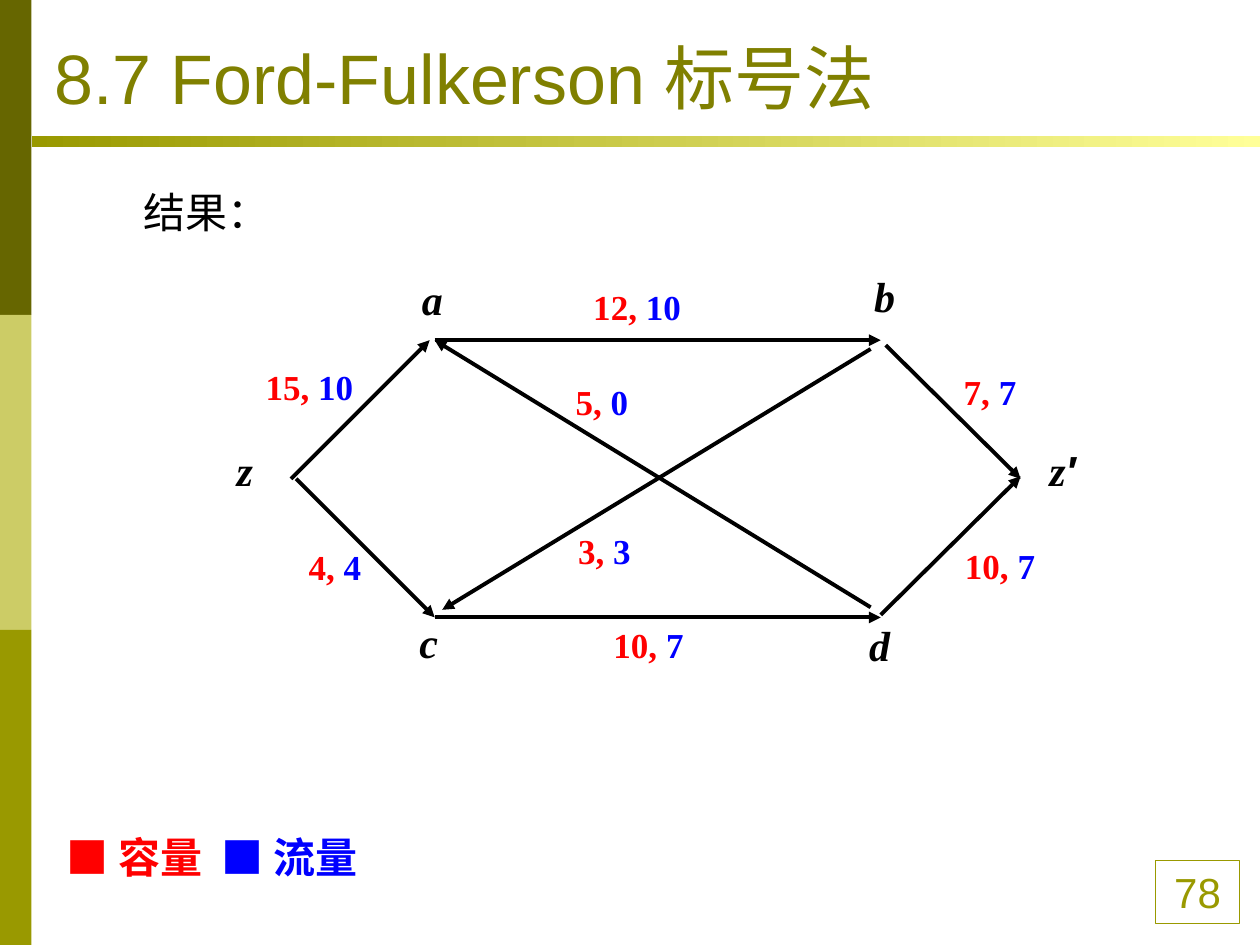
import pptx
import pptx.util
import pptx.dml.color
import pptx.enum.shapes
import pptx.enum.text
from dataclasses import dataclass
from lxml import etree
from pptx.oxml.ns import qn
from pptx.util import Inches


@dataclass(frozen=True)
class Theme:
    dark: str = "666600"
    light: str = "CCCC66"
    olive: str = "999900"
    pale: str = "FFFF99"
    heading: str = "808000"
    ink: str = "000000"
    capacity: str = "FF0000"
    flow: str = "0000FF"
    sans: str = "Arial"
    serif: str = "Times New Roman"
    title_size: int = 40
    text_size: int = 24
    label_size: int = 20
    arrow_width: float = 2.25


T = Theme()
RGB = pptx.dml.color.RGBColor.from_string


def write(p, runs, size, bold=False, italic=False):
    for text, color, face in runs:
        r = p.add_run()
        r.text = text
        r.font.name = face
        r.font.size = pptx.util.Pt(size)
        r.font.color.rgb = RGB(color)
        r.font.bold = bold
        r.font.italic = italic


def add_box(shapes, x, y, w, h):
    tf = shapes.add_textbox(Inches(x), Inches(y), Inches(w), Inches(h)).text_frame
    tf.word_wrap = True
    return tf.paragraphs[0]


prs = pptx.Presentation()
prs.slide_width, prs.slide_height = Inches(10), Inches(7.5)
s = prs.slides.add_slide(prs.slide_layouts[1])

bars = [
    (0, 0, 0.25, 2.5, T.dark),
    (0, 2.5, 0.25, 2.5, T.light),
    (0, 5, 0.25, 2.5, T.olive),
    (0.25, 1.08, 9.75, 0.09, None),
    (9.17, 6.83, 0.67, 0.5, None),
]
for x, y, w, h, color in bars:
    sp = s.shapes.add_shape(
        pptx.enum.shapes.MSO_SHAPE.RECTANGLE, Inches(x), Inches(y), Inches(w), Inches(h)
    )
    sp.shadow.inherit = False
    sp.line.fill.background()
    if color:
        sp.fill.solid()
        sp.fill.fore_color.rgb = RGB(color)
    else:
        sp.fill.background()

rule, number = list(s.shapes)[-2:]
rule.fill.gradient()
rule.fill.gradient_angle = 0
for stop, color in zip(rule.fill.gradient_stops, (T.olive, T.pale)):
    stop.color.rgb = RGB(color)

number.line.color.rgb = RGB(T.olive)
number.line.width = pptx.util.Pt(0.75)
p = number.text_frame.paragraphs[0]
p.alignment = pptx.enum.text.PP_ALIGN.CENTER
write(p, [("78", T.olive, T.sans)], T.text_size)

title, body = s.shapes.title, s.placeholders[1]
for sp, box in ((title, (0.33, 0.13, 9, 0.86)), (body, (0.37, 1.31, 4.07, 0.63))):
    sp.left, sp.top, sp.width, sp.height = [Inches(v) for v in box]
    sp.text_frame.auto_size = pptx.enum.text.MSO_AUTO_SIZE.NONE
    sp.text_frame.paragraphs[0].alignment = pptx.enum.text.PP_ALIGN.LEFT

title.text_frame.vertical_anchor = pptx.enum.text.MSO_ANCHOR.BOTTOM
write(title.text_frame.paragraphs[0],
      [("8.7 Ford-Fulkerson 标号法", T.heading, T.sans)], T.title_size)

p = body.text_frame.paragraphs[0]
pPr = p._p.get_or_add_pPr()
pPr.set("marL", str(Inches(0.67)))
pPr.set("indent", "0")
etree.SubElement(pPr, qn("a:buNone"))
p.space_before = pptx.util.Pt(0)
p.line_spacing = 1.3
write(p, [("结果：", T.ink, T.serif)], T.text_size)

p = add_box(s.shapes, 0.43, 6.43, 3.07, 0.63)
tabs = etree.SubElement(p._p.get_or_add_pPr(), qn("a:tabLst"))
etree.SubElement(tabs, qn("a:tab"), pos=str(Inches(1.23)), algn="l")
p.line_spacing = 1.3
write(p, [
    ("■", T.capacity, T.sans),
    (" 容量\t", T.capacity, T.serif),
    ("■", T.flow, T.sans),
    (" 流量", T.flow, T.serif),
], T.text_size, bold=True)

graph = s.shapes.add_group_shape().shapes

edges = [
    ((3.45, 2.7), (6.99, 2.7), 12, 10, (4.61, 2.22, 1.02)),
    ((3.45, 4.9), (6.99, 4.9), 10, 7, (4.77, 4.9, 0.88)),
    ((6.91, 2.77), (3.51, 4.84), 3, 3, (4.49, 4.15, 0.76)),
    ((6.91, 4.82), (3.45, 2.7), 5, 0, (4.47, 2.97, 0.85)),
    ((2.31, 3.8), (3.41, 2.7), 15, 10, (2.01, 2.85, 0.97)),
    ((6.99, 4.88), (8.1, 3.78), 10, 7, (7.56, 4.27, 0.91)),
    ((2.35, 3.8), (3.45, 4.9), 4, 4, (2.35, 4.28, 0.65)),
    ((7.03, 2.74), (8.1, 3.8), 7, 7, (7.55, 2.89, 0.85)),
]
for start, end, capacity, flow, label in edges:
    arrow = graph.add_connector(
        pptx.enum.shapes.MSO_CONNECTOR.STRAIGHT, *[Inches(v) for v in start + end]
    )
    arrow.line.color.rgb = RGB(T.ink)
    arrow.line.width = pptx.util.Pt(T.arrow_width)
    etree.SubElement(arrow.line._get_or_add_ln(), qn("a:tailEnd"), type="triangle")
    etree.SubElement(arrow._element.spPr, qn("a:effectLst"))
    write(add_box(graph, *label, 0.44), [
        (f"{capacity}, ", T.capacity, T.serif),
        (str(flow), T.flow, T.serif),
    ], T.label_size, bold=True)

nodes = [
    ("a", "", 3.25, 2.12),
    ("b", "", 6.84, 2.1),
    ("c", "", 3.23, 4.84),
    ("d", "", 6.8, 4.87),
    ("z", "", 1.78, 3.48),
    ("z", "′", 8.23, 3.48),
]
for name, prime, x, y in nodes:
    runs = [(name, T.ink, T.serif)]
    if prime:
        runs.append((prime, T.ink, T.sans))
    write(add_box(graph, x, y, 0.47, 0.5), runs, T.text_size, bold=True, italic=True)

prs.save("out.pptx")
